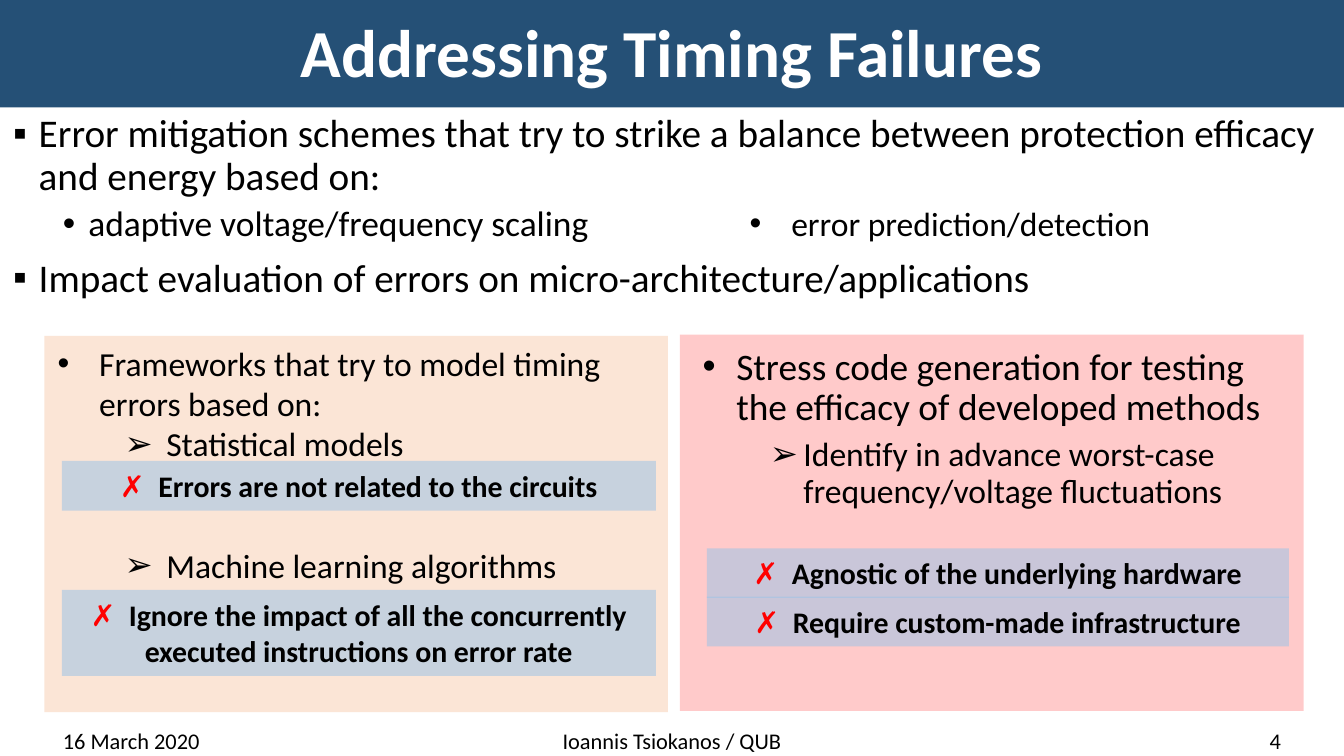
from dataclasses import dataclass

from lxml import etree
from pptx import Presentation
from pptx.dml.color import RGBColor
from pptx.enum import shapes, text
from pptx.oxml import ns
from pptx.util import Inches, Pt


@dataclass(frozen=True)
class Theme:
    font: str = "Calibri"
    bullet_font: str = "Arial"
    banner: str = "255076"
    light: str = "FFFFFF"
    ink: str = "000000"
    cross: str = "FF0000"
    models: str = "FBE5D6"
    stress: str = "FF8F8F"
    drawback: str = "9DC3E6"
    title_size: float = 36
    lead_size: float = 21
    point_size: float = 19
    card_lead_size: float = 20
    card_size: float = 18
    drawback_size: float = 16
    footer_size: float = 12


THEME = Theme()
ALIGN = text.PP_ALIGN
ANCHOR = text.MSO_ANCHOR


def add_rectangle(slide, box, color, opacity=100):
    shape = slide.shapes.add_shape(
        shapes.MSO_SHAPE.RECTANGLE, *(Inches(length) for length in box))
    shape.shadow.inherit = False
    shape.line.fill.background()
    shape.fill.solid()
    shape.fill.fore_color.rgb = RGBColor.from_string(color)
    if opacity < 100:
        color_element = shape.fill._xPr.find(".//" + ns.qn("a:srgbClr"))
        etree.SubElement(color_element, ns.qn("a:alpha"), val=str(opacity * 1000))
    return shape


def add_text_frame(slide, box, anchor=ANCHOR.TOP):
    frame = slide.shapes.add_textbox(*(Inches(length) for length in box)).text_frame
    frame.word_wrap = True
    frame.vertical_anchor = anchor
    return frame


def style_font(font, size, color=THEME.ink, bold=False):
    font.name = THEME.font
    font.size = Pt(size)
    font.bold = bold
    font.color.rgb = RGBColor.from_string(color)


def add_line(slide, box, words, size, align, anchor, color=THEME.ink, bold=False):
    paragraph = add_text_frame(slide, box, anchor).paragraphs[0]
    paragraph.text = words
    paragraph.alignment = align
    style_font(paragraph.font, size, color, bold)
    return paragraph


def add_bullets(frame, items, line_spacing=1.0):
    """Each item: words, bullet, level, left margin, hang, size, space before."""
    for index, (words, bullet, level, margin, hang, size, before) in enumerate(items):
        paragraph = frame.add_paragraph() if index else frame.paragraphs[0]
        paragraph.text = words
        paragraph.level = level
        paragraph.line_spacing = line_spacing
        paragraph.space_before = Pt(before)
        properties = paragraph._p.get_or_add_pPr()
        properties.set("marL", str(Inches(margin)))
        properties.set("indent", str(-Inches(hang)))
        etree.SubElement(properties, ns.qn("a:buFont"), typeface=THEME.bullet_font)
        etree.SubElement(properties, ns.qn("a:buChar"), char=bullet)
        style_font(paragraph.font, size)


def add_drawback(slide, box, words):
    frame = add_rectangle(slide, box, THEME.drawback, 55).text_frame
    frame.word_wrap = True
    frame.vertical_anchor = ANCHOR.TOP
    paragraph = frame.paragraphs[0]
    paragraph.alignment = ALIGN.CENTER
    for part, color, bold in (("✗ ", THEME.cross, False), (words, THEME.ink, True)):
        run = paragraph.add_run()
        run.text = part
        style_font(run.font, THEME.drawback_size, color, bold)
    # Letter spacing widens the gap after the cross
    paragraph.runs[0].font._element.set("spc", "180")


def add_banner(slide, box):
    left, top, width, _ = box
    add_rectangle(slide, box, THEME.banner)
    title = add_line(slide, (left + 0.15, top + 0.1, width - 0.3, 0.63),
                     "Addressing Timing Failures", THEME.title_size,
                     ALIGN.CENTER, ANCHOR.MIDDLE, THEME.light, True)
    title.line_spacing = 0.9


def add_overview(slide, box):
    left, top, _, _ = box
    add_bullets(add_text_frame(slide, box), [
        ("Error mitigation schemes that try to strike a balance between "
         "protection efficacy and energy based on:",
         "▪", 0, 0.19, 0.19, THEME.lead_size, 0),
        ("adaptive voltage/frequency scaling",
         "•", 1, 0.56, 0.19, THEME.point_size, 3.8),
        ("Impact evaluation of errors on micro-architecture/applications",
         "▪", 0, 0.19, 0.19, THEME.lead_size, 7.5),
    ], 0.9)
    # Second scheme, beside the first
    add_bullets(add_text_frame(slide, (left + 5.48, top + 0.66, 4.76, 0.4)), [
        ("error prediction/detection", "•", 0, 0.31, 0.31, THEME.card_size, 0),
    ])


def add_models_card(slide, box):
    left, top, width, _ = box
    add_rectangle(slide, box, THEME.models)
    # The gap before the second model leaves room for the first drawback
    add_bullets(add_text_frame(slide, (left, top, width + 0.09, 2.52)), [
        ("Frameworks that try to model timing errors based on:",
         "•", 0, 0.31, 0.31, THEME.card_size, 0),
        ("Statistical models", "➢", 1, 0.81, 0.31, THEME.card_size, 0),
        ("Machine learning algorithms", "➢", 1, 0.81, 0.31, THEME.card_size, 43.5),
    ])
    for offset, height, words in (
        (0.93, 0.37, "Errors are not related to the circuits"),
        (1.89, 0.64, "Ignore the impact of all the concurrently "
                     "executed instructions on error rate"),
    ):
        add_drawback(slide, (left + 0.13, top + offset, 4.42, height), words)


def add_stress_card(slide, box):
    left, top, width, height = box
    add_rectangle(slide, box, THEME.stress, 47)
    add_bullets(add_text_frame(
        slide, (left + 0.07, top + 0.05, width - 0.13, height - 0.14)), [
        ("Stress code generation for testing the efficacy of developed methods",
         "•", 0, 0.25, 0.25, THEME.card_lead_size, 0),
        ("Identify in advance worst-case frequency/voltage fluctuations",
         "➢", 1, 0.75, 0.25, THEME.card_size, 5),
    ], 0.9)
    drawbacks = ("Agnostic of the underlying hardware",
                 "Require custom-made infrastructure")
    for row, words in enumerate(drawbacks):
        add_drawback(slide, (left + 0.2, top + 1.59 + 0.36 * row, 4.33, 0.37), words)


def add_footer(slide, box):
    left, top, width, height = box
    side, middle = 2.57, 3.38
    for offset, part_width, words, align in (
        (0, side, "16 March 2020", ALIGN.LEFT),
        ((width - middle) / 2, middle, "Ioannis Tsiokanos / QUB", ALIGN.CENTER),
        (width - side, side, "4", ALIGN.RIGHT),
    ):
        add_line(slide, (left + offset, top, part_width, height), words,
                 THEME.footer_size, align, ANCHOR.BOTTOM)


def main():
    presentation = Presentation()
    # Widescreen, 16:9
    presentation.slide_width = Inches(10)
    presentation.slide_height = Inches(10 * 9 / 16)
    slide = presentation.slides.add_slide(presentation.slide_layouts[6])

    add_banner(slide, (0, 0, 10, 0.8))
    add_overview(slide, (0, 0.8, 10, 4.58))
    add_models_card(slide, (0.33, 2.5, 4.64, 2.8))
    add_stress_card(slide, (5.06, 2.49, 4.64, 2.8))
    add_footer(slide, (0.37, 5.36, 9.26, 0.3))

    presentation.save("out.pptx")


if __name__ == "__main__":
    main()
